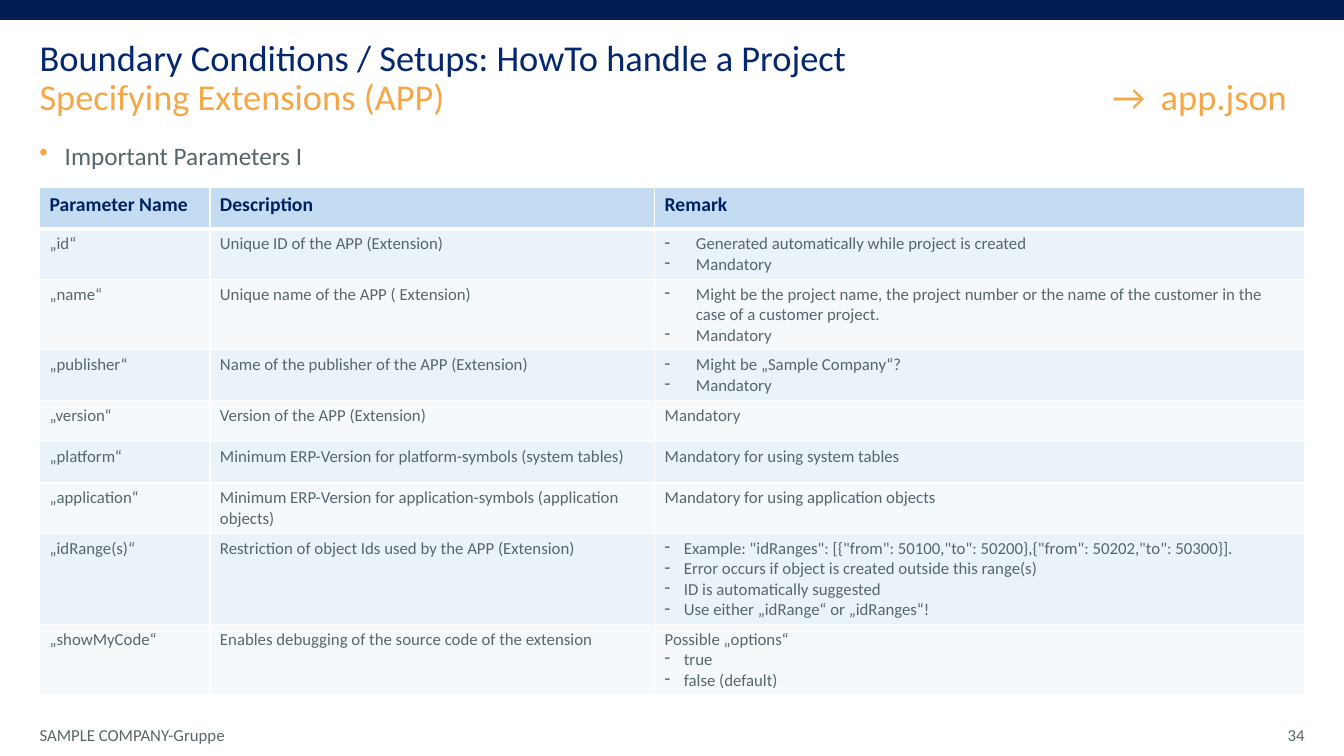
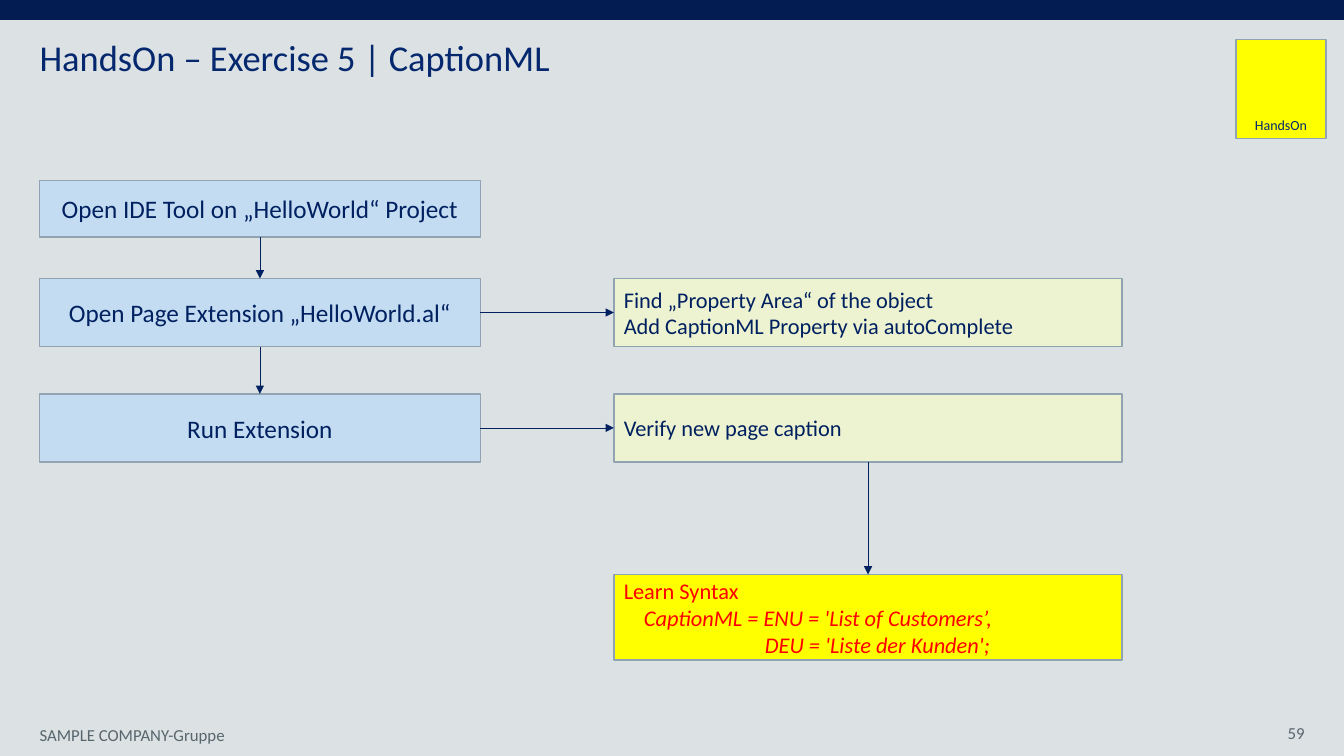
"""Build two training slides: app.json parameters and the CaptionML exercise."""
from lxml import etree
from pptx import Presentation
from pptx.dml.color import RGBColor
from pptx.enum import shapes, text
from pptx.oxml.ns import qn
from pptx import util as u

WHITE = RGBColor(0xFF, 0xFF, 0xFF)
BAND = RGBColor(0x03, 0x1D, 0x52)
TITLE = RGBColor(0x04, 0x27, 0x6E)
NAVY = RGBColor(0x00, 0x20, 0x60)
GREY = RGBColor(0x57, 0x66, 0x6D)
ORANGE = RGBColor(0xF5, 0xA7, 0x48)
PALE_GREY = RGBColor(0xDC, 0xE1, 0xE3)
BLUE = RGBColor(0xC4, 0xDC, 0xF1)
ROW_ODD = RGBColor(0xEA, 0xF2, 0xFA)
ROW_EVEN = RGBColor(0xF5, 0xF9, 0xFC)
GREEN = RGBColor(0xED, 0xF2, 0xD0)
YELLOW = RGBColor(0xFF, 0xFF, 0x00)
RED = RGBColor(0xFF, 0x00, 0x00)
OUTLINE = RGBColor(0x91, 0xA3, 0xB2)

FONT = "Calibri"
COLUMNS, ROWS = 34, 19
CENTER, RIGHT = text.PP_ALIGN.CENTER, text.PP_ALIGN.RIGHT
MIDDLE, BOTTOM = text.MSO_ANCHOR.MIDDLE, text.MSO_ANCHOR.BOTTOM
RECTANGLE = shapes.MSO_SHAPE.RECTANGLE

prs = Presentation()
prs.slide_width, prs.slide_height = u.Inches(13.33), u.Inches(7.5)
COLUMN, ROW = prs.slide_width / COLUMNS, prs.slide_height / ROWS


def area(left, top, width, height):
    """Turn grid columns and rows into slide lengths."""
    return [round(n * unit) for n, unit in zip((left, top, width, height), (COLUMN, ROW) * 2)]


def write(frame, lines, inset=True, anchor=None, **shared):
    """Fill a text frame; a line is a text or a (text, format) pair."""
    frame.word_wrap = True
    if anchor is not None:
        frame.vertical_anchor = anchor
    if not inset:
        frame.margin_left = frame.margin_top = frame.margin_right = frame.margin_bottom = 0
    for number, line in enumerate(lines):
        words, own = (line, {}) if isinstance(line, str) else line
        style = {**shared, **own}
        paragraph = frame.paragraphs[0] if number == 0 else frame.add_paragraph()
        props = paragraph._p.get_or_add_pPr()
        if "bullet" in style:
            indent = u.Inches(style["indent"])
            props.set("marL", str(indent))
            props.set("indent", str(-indent))
            if "bullet_color" in style:
                tint = etree.SubElement(props, qn("a:buClr"))
                etree.SubElement(tint, qn("a:srgbClr"), val=str(style["bullet_color"]))
            etree.SubElement(props, qn("a:buChar"), char=style["bullet"])
        if "tabs" in style:
            stops = etree.SubElement(props, qn("a:tabLst"))
            for stop in style["tabs"]:
                etree.SubElement(stops, qn("a:tab"), pos=str(u.Inches(stop)), algn="l")
        paragraph.alignment = style.get("align")
        paragraph.line_spacing = style.get("spacing")
        run = paragraph.add_run()
        run.text = words
        run.font.name, run.font.size = FONT, u.Pt(style["size"])
        run.font.color.rgb = style["color"]
        run.font.bold, run.font.italic = style.get("bold", False), style.get("italic", False)


pages = [
    (WHITE, "34", 17.96, [
        "Boundary Conditions / Setups: HowTo handle a Project",
        ("Specifying Extensions (APP)\t→\tapp.json", dict(color=ORANGE, tabs=(10.64, 11.12)))]),
    (PALE_GREY, "59", 17.91, ["HandsOn – Exercise 5 | CaptionML"]),
]
for backdrop, page, page_top, heading in pages:
    slide = prs.slides.add_slide(prs.slide_layouts[6])
    slide.background.fill.solid()
    slide.background.fill.fore_color.rgb = backdrop
    band = slide.shapes.add_shape(RECTANGLE, *area(0, 0, COLUMNS, 0.5))
    band.shadow.inherit = False
    band.fill.solid()
    band.fill.fore_color.rgb = BAND
    band.line.fill.background()
    for place, line, align in (((1, 17.96, 8, 1), "SAMPLE COMPANY-Gruppe", None),
                               ((26, page_top, 7, 1), page, RIGHT)):
        footer = slide.shapes.add_textbox(*area(*place))
        write(footer.text_frame, [line], inset=False, anchor=MIDDLE,
              size=12, color=GREY, align=align)
    title = slide.shapes.add_textbox(*area(1, 1, 32, 2))
    write(title.text_frame, heading, inset=False, size=26, color=TITLE, spacing=0.9)

parameters_slide, exercise_slide = prs.slides

intro = parameters_slide.shapes.add_textbox(*area(1, 3.52, 17.25, 1))
write(intro.text_frame, ["Important Parameters I"], inset=False, size=18, color=GREY,
      bullet="•", indent=0.25, bullet_color=ORANGE)

WIDE, TIGHT = dict(bullet="-", indent=0.31), dict(bullet="-", indent=0.19)
parameters = [
    ("Parameter Name", "Description", ["Remark"]),
    ("„id“", "Unique ID of the APP (Extension)",
     [("Generated automatically while project is created", WIDE), ("Mandatory", WIDE)]),
    ("„name“", "Unique name of the APP ( Extension)",
     [("Might be the project name, the project number or the name of the customer "
       "in the case of a customer project.", WIDE), ("Mandatory", WIDE)]),
    ("„publisher“", "Name of the publisher of the APP (Extension)",
     [("Might be „Sample Company“?", WIDE), ("Mandatory", WIDE)]),
    ("„version“", "Version of the APP (Extension)", ["Mandatory"]),
    ("„platform“", "Minimum ERP-Version for platform-symbols (system tables)",
     ["Mandatory for using system tables"]),
    ("„application“", "Minimum ERP-Version for application-symbols (application objects)",
     ["Mandatory for using application objects"]),
    ("„idRange(s)“", "Restriction of object Ids used by the APP (Extension)",
     [('Example: "idRanges": [{"from": 50100,"to": 50200},{"from": 50202,"to": 50300}].', TIGHT),
      ("Error occurs if object is created outside this range(s)", TIGHT),
      ("ID is automatically suggested", TIGHT),
      ("Use either „idRange“ or „idRanges“!", TIGHT)]),
    ("„showMyCode“", "Enables debugging of the source code of the extension",
     ["Possible „options“", ("true", TIGHT), ("false (default)", TIGHT)]),
]
table = parameters_slide.shapes.add_table(
    len(parameters), 3, *area(1, 4.71, 32, 1.04 * len(parameters))).table
table.horz_banding = False
for column, share in zip(table.columns, (4.31, 11.25, 16.44)):
    column.width = round(share * COLUMN)
for r, (name, description, remarks) in enumerate(parameters):
    for c, lines in enumerate(([name], [description], remarks)):
        cell = table.cell(r, c)
        props = cell._tc.get_or_add_tcPr()
        for side in ("lnL", "lnR", "lnT", "lnB"):
            thick = (r, side) in ((0, "lnB"), (1, "lnT"))
            border = etree.SubElement(props, qn("a:" + side), w=str(u.Pt(3 if thick else 1)))
            paint = etree.SubElement(border, qn("a:solidFill"))
            etree.SubElement(paint, qn("a:srgbClr"), val=str(WHITE))
        cell.fill.solid()
        cell.fill.fore_color.rgb = BLUE if r == 0 else ROW_ODD if r % 2 else ROW_EVEN
        write(cell.text_frame, lines, size=12 if r else 14,
              color=GREY if r else NAVY, bold=r == 0)

STEP_LEFT, STEP_WIDTH = 1, 11.15
DETAIL_LEFT, DETAIL_WIDTH = 15.53, 12.86
step = dict(size=18, color=NAVY, align=CENTER, anchor=MIDDLE)
detail = dict(size=16, color=NAVY, anchor=MIDDLE)
boxes = {
    "open": ((STEP_LEFT, 4.53, STEP_WIDTH, 1.43), BLUE, step,
             ["Open IDE Tool on „HelloWorld“ Project"]),
    "extend": ((STEP_LEFT, 7, STEP_WIDTH, 1.71), BLUE, step,
               ["Open Page Extension „HelloWorld.al“"]),
    "run": ((STEP_LEFT, 9.9, STEP_WIDTH, 1.71), BLUE, step, ["Run Extension"]),
    "find": ((DETAIL_LEFT, 7, DETAIL_WIDTH, 1.71), GREEN, detail,
             ["Find „Property Area“ of the object", "Add CaptionML Property via autoComplete"]),
    "verify": ((DETAIL_LEFT, 9.9, DETAIL_WIDTH, 1.71), GREEN, detail,
               ["Verify new page caption"]),
    "syntax": ((DETAIL_LEFT, 14.44, DETAIL_WIDTH, 2.15), YELLOW, {**detail, "color": RED},
               ["Learn Syntax",
                ("    CaptionML = ENU = 'List of Customers’,", dict(italic=True)),
                ("                            DEU = 'Liste der Kunden';", dict(italic=True))]),
    "badge": ((31.27, 1, 2.27, 2.48), YELLOW,
              dict(size=10, color=TITLE, align=CENTER, anchor=BOTTOM), ["HandsOn"]),
}
drawn = {}
for key, (place, fill, style, lines) in boxes.items():
    box = drawn[key] = exercise_slide.shapes.add_shape(RECTANGLE, *area(*place))
    box.shadow.inherit = False
    box.fill.solid()
    box.fill.fore_color.rgb = fill
    box.line.color.rgb, box.line.width = OUTLINE, u.Pt(1)
    write(box.text_frame, lines, **style)

DOWN, ACROSS = (2, 0), (3, 1)
for start, end, (leave, enter) in (("open", "extend", DOWN), ("extend", "run", DOWN),
                                   ("extend", "find", ACROSS), ("run", "verify", ACROSS),
                                   ("verify", "syntax", DOWN)):
    arrow = exercise_slide.shapes.add_connector(shapes.MSO_CONNECTOR.STRAIGHT, 0, 0, 0, 0)
    arrow.begin_connect(drawn[start], leave)
    arrow.end_connect(drawn[end], enter)
    arrow.line.color.rgb, arrow.line.width = NAVY, u.Pt(0.5)
    props = arrow._element.spPr
    etree.SubElement(props.find(qn("a:ln")), qn("a:tailEnd"), type="triangle")
    etree.SubElement(props, qn("a:effectLst"))

prs.save("out.pptx")
